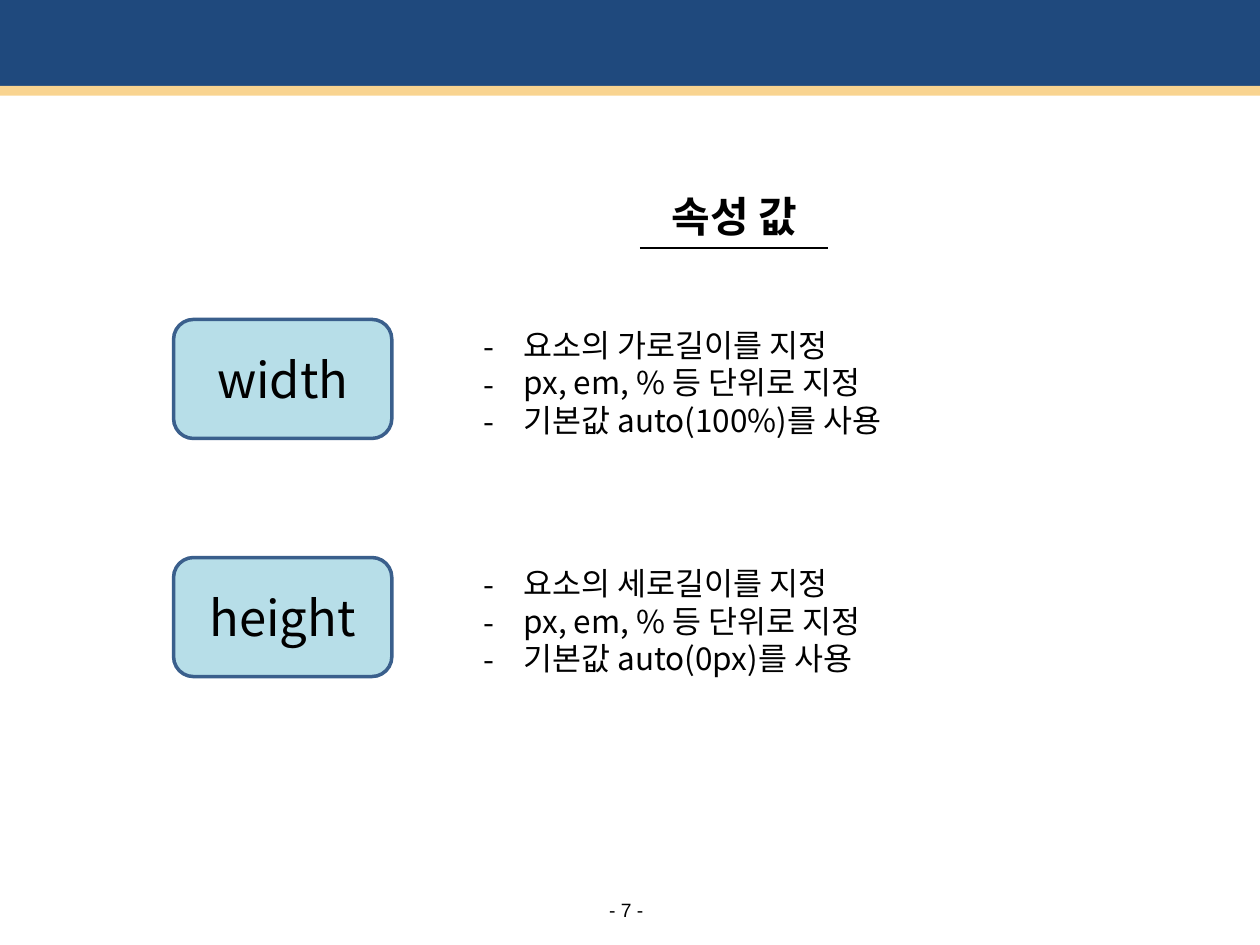
from dataclasses import dataclass
from lxml import etree
from pptx import Presentation
from pptx.dml.color import RGBColor
from pptx.enum.shapes import MSO_CONNECTOR, MSO_SHAPE
from pptx.enum.text import MSO_ANCHOR, PP_ALIGN
from pptx.oxml.ns import qn
from pptx.util import Cm, Pt

RECT, ROUND = MSO_SHAPE.RECTANGLE, MSO_SHAPE.ROUNDED_RECTANGLE
LINE = MSO_CONNECTOR.STRAIGHT
LEFT, MID = PP_ALIGN.LEFT, PP_ALIGN.CENTER
TOP, CORE = MSO_ANCHOR.TOP, MSO_ANCHOR.MIDDLE


@dataclass
class Theme:
    navy: str = "1F497D"
    gold: str = "F9D490"
    aqua: str = "B7DEE8"
    edge: str = "3A5F8C"
    ink: str = "000000"
    sans: str = "Arial"
    hangul: str = "Noto Sans CJK KR"
    label: int = 28
    head: int = 24
    body: int = 18
    foot: int = 11


theme = Theme()


def block(kind, x, y, w, h, fill, edge=None):
    shape = slide.shapes.add_shape(kind, Cm(x), Cm(y), Cm(w), Cm(h))
    shape.shadow.inherit = False
    shape.fill.solid()
    shape.fill.fore_color.rgb = RGBColor.from_string(fill)
    if edge:
        shape.line.color.rgb = RGBColor.from_string(edge)
        shape.line.width = Pt(2)
    else:
        shape.line.fill.background()
    return shape


def write(shape, lines, size, align=MID, anchor=CORE, face=theme.hangul,
          bold=False, dash=False):
    frame = shape.text_frame
    frame.word_wrap = True
    frame.vertical_anchor = anchor
    frame.text = "\n".join(lines)
    for para in frame.paragraphs:
        para.alignment = align
        if dash:
            props = para._p.get_or_add_pPr()
            props.set("marL", str(Cm(0.8)))
            props.set("indent", str(-Cm(0.8)))
            etree.SubElement(props, qn("a:buFont")).set("typeface", face)
            etree.SubElement(props, qn("a:buChar")).set("char", "-")
        font = para.font
        font.size, font.bold, font.name = Pt(size), bold, face
        font.color.rgb = RGBColor.from_string(theme.ink)
        base = para._p.pPr.find(qn("a:defRPr"))
        etree.SubElement(base, qn("a:ea")).set("typeface", face)
    return frame


deck = Presentation()
deck.slide_width, deck.slide_height = Cm(25.4), Cm(19.05)
slide = deck.slides.add_slide(deck.slide_layouts[6])
shapes = slide.shapes

block(RECT, 0, -0.08, 25.4, 1.93, theme.navy)
block(RECT, 0, 1.73, 25.4, 0.2, theme.gold)

page = shapes.add_textbox(Cm(12.08), Cm(18.11), Cm(1.09), Cm(0.48))
frame = write(page, ["- 7 -"], theme.foot, face=theme.sans)
frame.margin_left = frame.margin_right = 0
frame.margin_top = frame.margin_bottom = 0
frame.word_wrap = False

head = shapes.add_textbox(Cm(9.9), Cm(3.71), Cm(9.8), Cm(1.28))
write(head, ["속성 값"], theme.head, anchor=TOP, bold=True)

rule = shapes.add_connector(LINE, Cm(12.9), Cm(5), Cm(16.69), Cm(5))
rule.line.color.rgb = RGBColor.from_string(theme.ink)
rule.line.width = Pt(1.5)
etree.SubElement(rule._element.spPr, qn("a:effectLst"))

rows = [("width", "가로", "100%"), ("height", "세로", "0px")]
for i, (name, side, auto) in enumerate(rows):
    y = 6.44 + 4.8 * i
    card = block(ROUND, 3.5, y, 4.4, 2.4, theme.aqua, theme.edge)
    write(card, [name], theme.label)
    notes = shapes.add_textbox(Cm(9.5), Cm(y), Cm(12.4), Cm(2.56))
    write(notes, [f"요소의 {side}길이를 지정", "px, em, % 등 단위로 지정",
                  f"기본값 auto({auto})를 사용"],
          theme.body, LEFT, TOP, dash=True)

deck.save("out.pptx")
